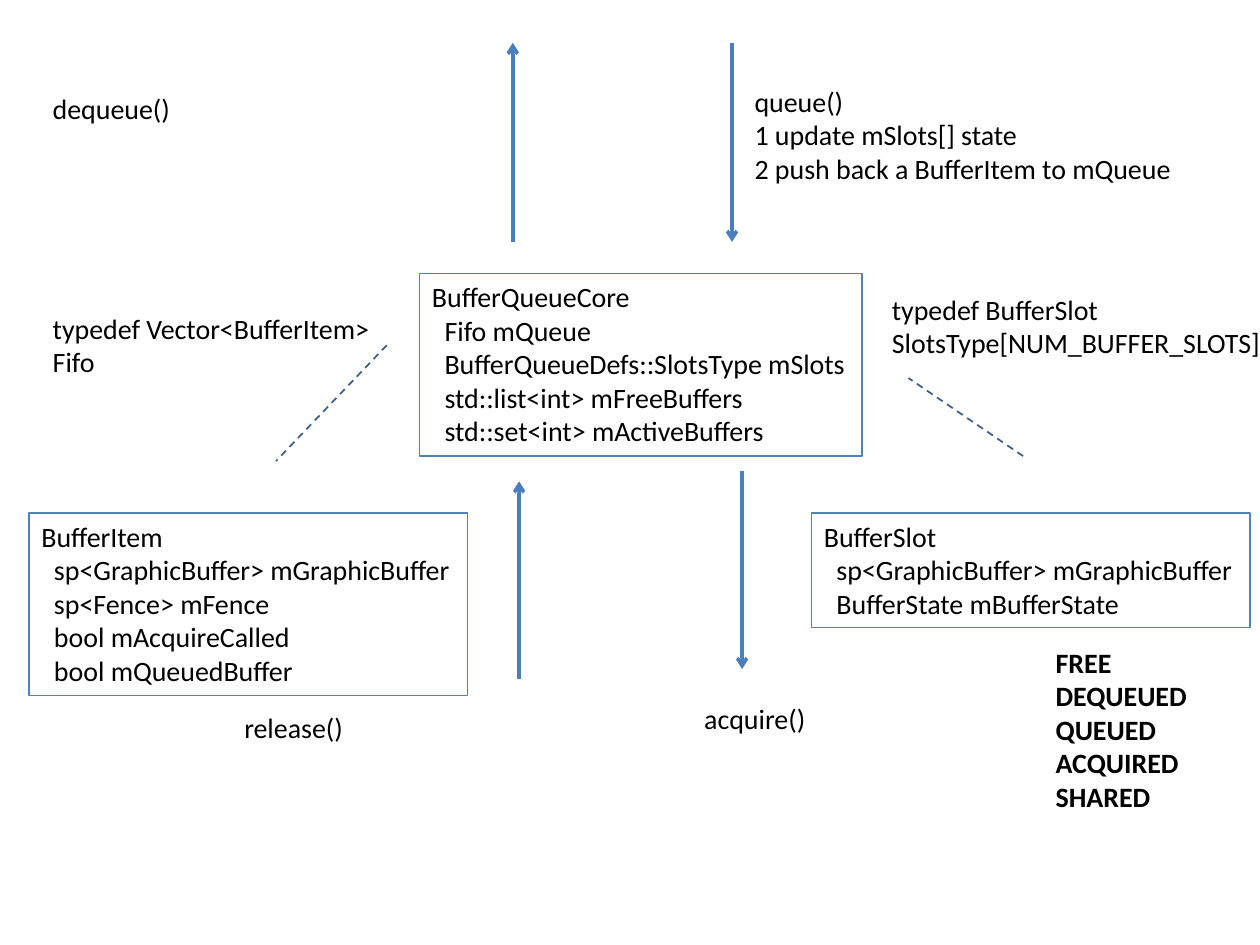
from lxml import etree
from pptx import Presentation
from pptx import util as u
from pptx.dml.color import RGBColor
from pptx.enum import dml, shapes, text
from pptx.oxml.ns import qn

BLACK = RGBColor(0x00, 0x00, 0x00)
BLUE = RGBColor(0x4F, 0x81, 0xBD)
ARROW = RGBColor(0x4B, 0x7E, 0xBC)
DASH = RGBColor(0x3A, 0x5F, 0x8C)

deck = Presentation()
deck.slide_width = u.Inches(10)
deck.slide_height = u.Inches(7.5)
slide = deck.slides.add_slide(deck.slide_layouts[6])


def write(shape, lines, wrap, bold=False):
    frame = shape.text_frame
    frame.word_wrap = wrap
    frame.auto_size = text.MSO_AUTO_SIZE.SHAPE_TO_FIT_TEXT
    frame.vertical_anchor = text.MSO_ANCHOR.TOP
    for i, line in enumerate(lines):
        para = frame.paragraphs[0] if i == 0 else frame.add_paragraph()
        para.alignment = text.PP_ALIGN.LEFT
        run = para.add_run()
        run.text = line
        run.font.name = "Calibri"
        run.font.size = u.Pt(16)
        run.font.bold = bold
        run.font.color.rgb = BLACK


def link(ends, color, width):
    line = slide.shapes.add_connector(
        shapes.MSO_CONNECTOR.STRAIGHT, *[u.Inches(n) for n in ends])
    line.line.color.rgb = color
    line.line.width = u.Pt(width)
    etree.SubElement(line._element.spPr, qn("a:effectLst"))
    return line.line


boxes = [
    (3.33, 2.17, 3.51, 1.45, [
        "BufferQueueCore",
        "  Fifo mQueue",
        "  BufferQueueDefs::SlotsType mSlots",
        "  std::list<int> mFreeBuffers",
        "  std::set<int> mActiveBuffers"]),
    (0.23, 4.07, 3.48, 1.45, [
        "BufferItem",
        "  sp<GraphicBuffer> mGraphicBuffer",
        "  sp<Fence> mFence",
        "  bool mAcquireCalled",
        "  bool mQueuedBuffer"]),
    (6.44, 4.07, 3.48, 0.91, [
        "BufferSlot",
        "  sp<GraphicBuffer> mGraphicBuffer",
        "  BufferState mBufferState"]),
]
for *place, lines in boxes:
    box = slide.shapes.add_shape(
        shapes.MSO_SHAPE.RECTANGLE, *[u.Inches(n) for n in place])
    box.shadow.inherit = False
    box.fill.background()
    box.line.color.rgb = BLUE
    box.line.width = u.Pt(1)
    write(box, lines, False)

labels = [
    (0.32, 2.42, 2.75, 0.64, ["typedef Vector<BufferItem>", "Fifo"], False),
    (6.98, 2.27, 3.18, 0.64,
     ["typedef BufferSlot SlotsType[NUM_BUFFER_SLOTS]"], False),
    (8.28, 5.07, 1.64, 1.45,
     ["FREE", "DEQUEUED", "QUEUED", "ACQUIRED", "SHARED"], True),
    (5.89, 0.62, 3.55, 0.91,
     ["queue()", "1 update mSlots[] state",
      "2 push back a BufferItem to mQueue"], False),
    (0.32, 0.68, 3.55, 0.64, ["dequeue()"], False),
    (5.49, 5.52, 3.55, 0.64, ["acquire()"], False),
    (1.84, 5.59, 3.55, 0.64, ["release()"], False),
]
for *place, lines, bold in labels:
    label = slide.shapes.add_textbox(*[u.Inches(n) for n in place])
    write(label, lines, True, bold)

for ends in [(3.07, 2.74, 2.19, 3.66), (8.12, 3.62, 7.21, 3)]:
    link(ends, DASH, 1).dash_style = dml.MSO_LINE.DASH

for x, start, end in [(5.81, 0.34, 1.92), (4.07, 1.92, 0.34),
                      (4.12, 5.39, 3.82), (5.89, 3.74, 5.31)]:
    line = link((x, start, x, end), ARROW, 2)
    etree.SubElement(line._get_or_add_ln(), qn("a:tailEnd"), type="arrow")

deck.save("out.pptx")
